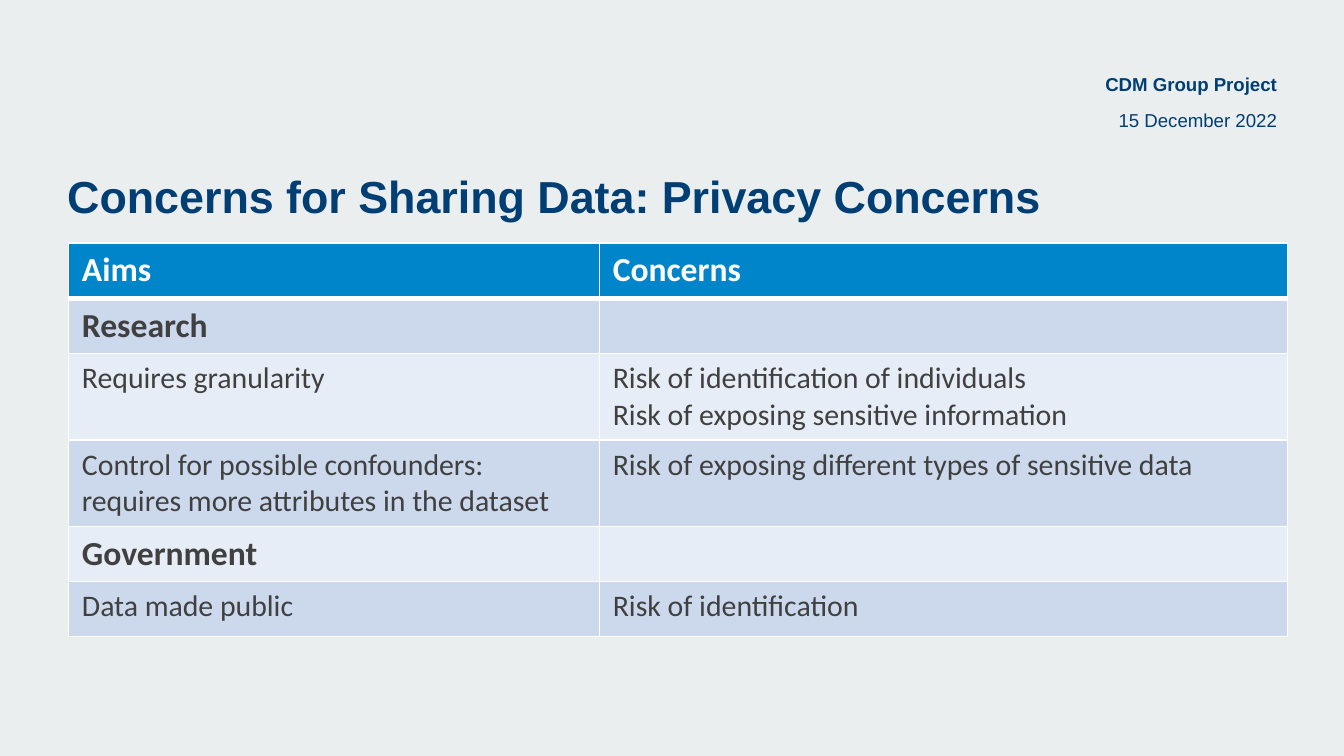
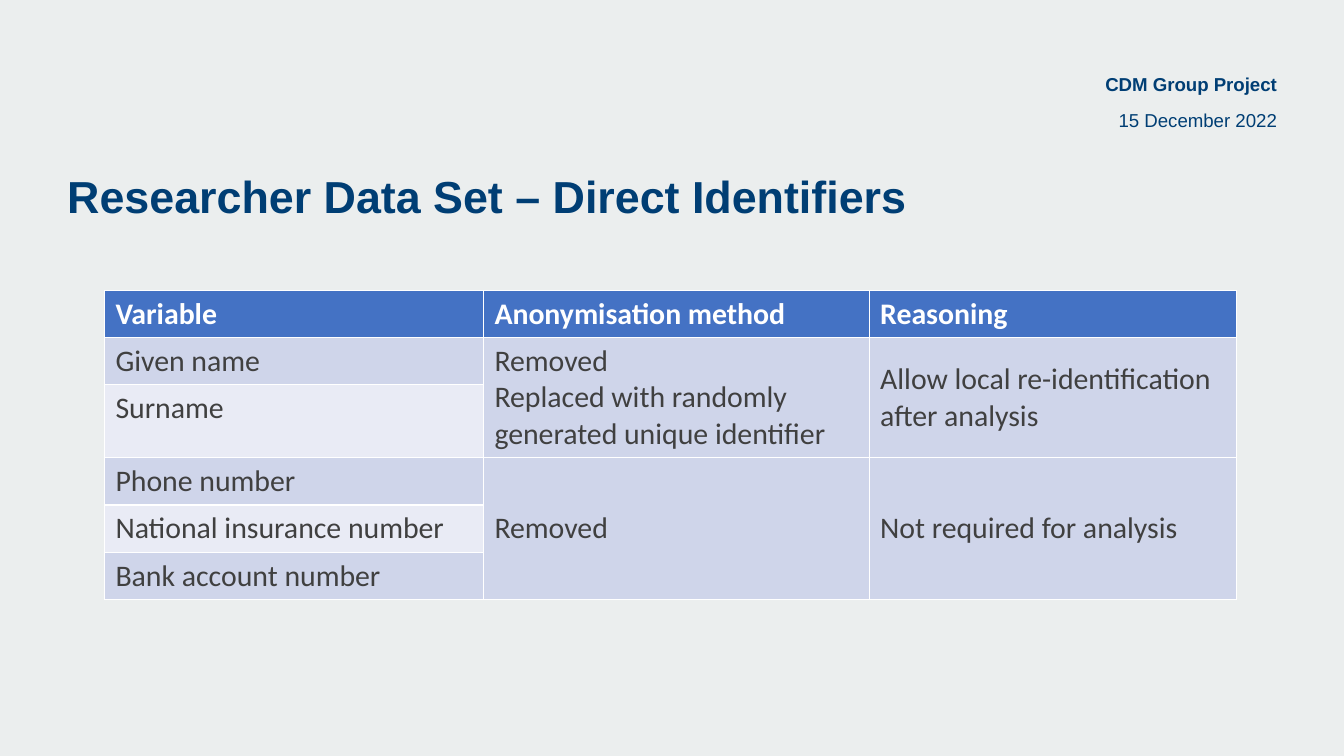
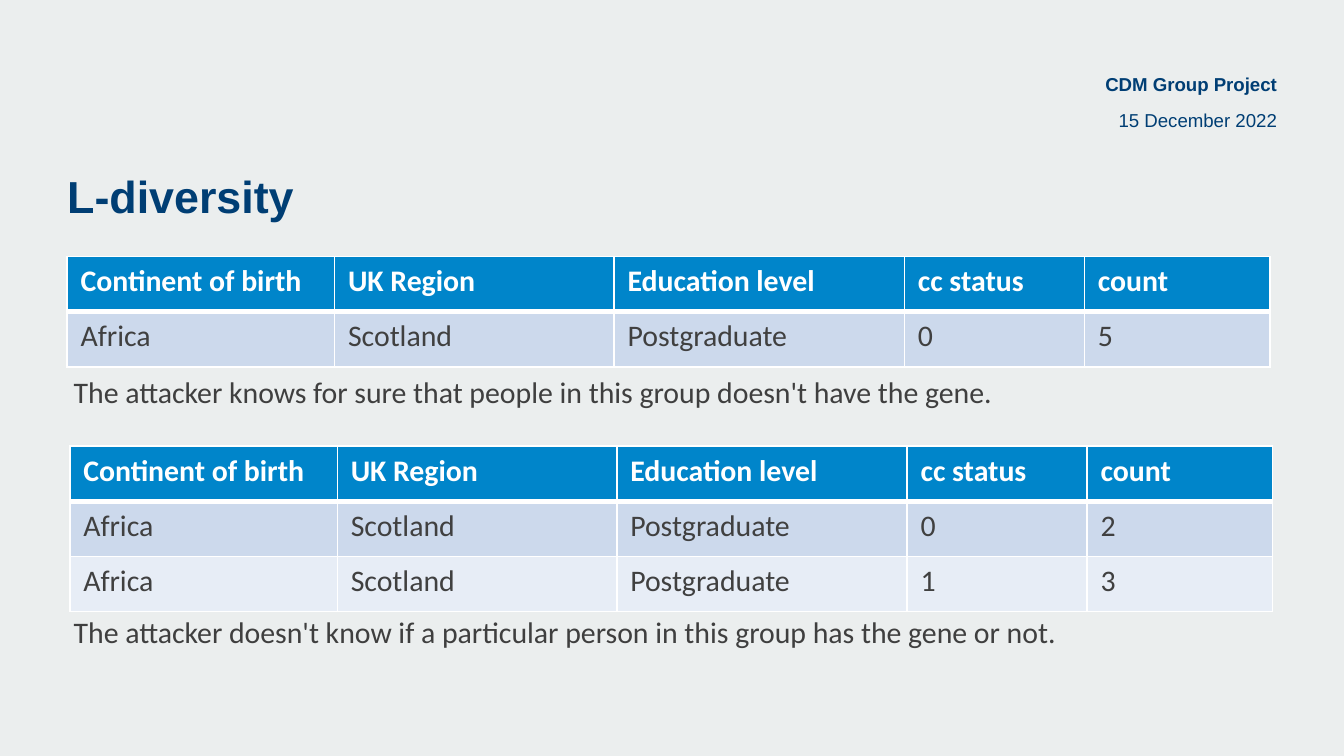
from dataclasses import dataclass

from lxml import etree
from pptx import Presentation
from pptx.dml.color import RGBColor
from pptx.enum.text import MSO_ANCHOR, MSO_AUTO_SIZE, PP_ALIGN
from pptx.oxml.ns import qn
from pptx.slide import Slide
from pptx.table import _Cell
from pptx.text.text import TextFrame
from pptx.util import Inches, Pt

TOP, MIDDLE = MSO_ANCHOR.TOP, MSO_ANCHOR.MIDDLE
LEFT, RIGHT = PP_ALIGN.LEFT, PP_ALIGN.RIGHT
NO_FIT, GROW = MSO_AUTO_SIZE.NONE, MSO_AUTO_SIZE.SHAPE_TO_FIT_TEXT

BACKGROUND = RGBColor(0xEB, 0xEE, 0xEE)
NAVY = RGBColor(0x00, 0x3E, 0x74)
WHITE = RGBColor(0xFF, 0xFF, 0xFF)
GREY = RGBColor(0x40, 0x40, 0x40)
NOTE_GREY = RGBColor(0x3F, 0x3F, 0x3F)

HEADING_FONT, TEXT_FONT = "Arial", "Calibri"
COMPARISON_LAYOUT = 4
SLIDE_WIDTH = 10
SLIDE_HEIGHT = SLIDE_WIDTH * 9 / 16
TITLE_BOX = (0.5, 1.22, 9, 0.42)
PROJECT_BOX = (7.17, 0.54, 2.33, 0.26)
DATE_BOX = (7.92, 0.81, 1.58, 0.21)


@dataclass(frozen=True)
class TableStyle:
    """Colours, borders and spacing shared by tables of one look."""
    header: RGBColor
    bands: tuple[RGBColor, RGBColor]
    row_height: float
    margins: tuple[float, float]
    line: float
    header_line: float


@dataclass(frozen=True)
class TableSpec:
    """Place and content of one table; merges are (row, column, rows)."""
    left: float
    top: float
    columns: tuple[float, ...]
    rows: tuple[tuple[str, ...], ...]
    style: TableStyle
    header_size: int = 16
    merges: tuple[tuple[int, int, int], ...] = ()
    sections: tuple[int, ...] = ()


CYAN_STYLE = TableStyle(
    RGBColor(0x00, 0x85, 0xCA),
    (RGBColor(0xCC, 0xD9, 0xEC), RGBColor(0xE7, 0xED, 0xF6)),
    0.41, (0.1, 0.05), 1, 3)
BLUE_STYLE = TableStyle(
    RGBColor(0x44, 0x72, 0xC4),
    (RGBColor(0xCF, 0xD5, 0xEA), RGBColor(0xE9, 0xEB, 0xF5)),
    0.31, (0.08, 0.04), 0.75, 0.75)

PRIVACY = TableSpec(
    0.51, 1.81, (3.95, 5.12),
    (("Aims", "Concerns"),
     ("Research", ""),
     ("Requires granularity",
      "Risk of identification of individuals\nRisk of exposing sensitive information"),
     ("Control for possible confounders: requires more attributes in the dataset",
      "Risk of exposing different types of sensitive data"),
     ("Government", ""),
     ("Data made public", "Risk of identification")),
    CYAN_STYLE, header_size=18, sections=(1, 4))

IDENTIFIERS = TableSpec(
    0.78, 2.16, (2.82, 2.87, 2.73),
    (("Variable", "Anonymisation\u00a0method", "Reasoning"),
     ("Given name",
      "Removed\nReplaced with randomly generated unique identifier",
      "Allow local re-identification after\u00a0analysis"),
     ("Surname", "", ""),
     ("Phone number\u00a0", "Removed", "Not required for analysis"),
     ("National insurance number", "", ""),
     ("Bank account number", "", "")),
    BLUE_STYLE, merges=((1, 1, 2), (1, 2, 2), (3, 1, 3), (3, 2, 3)))

GROUP_COLUMNS = (1.99, 2.08, 2.16, 1.34, 1.38)
GROUP_HEADER = ("Continent of birth", "UK Region", "Education level", "cc status", "count")
GROUP = ("Africa", "Scotland", "Postgraduate")
UNIFORM = TableSpec(0.5, 1.91, GROUP_COLUMNS,
                    (GROUP_HEADER, (*GROUP, "0", "5")), CYAN_STYLE)
DIVERSE = TableSpec(0.52, 3.32, GROUP_COLUMNS,
                    (GROUP_HEADER, (*GROUP, "0", "2"), (*GROUP, "1", "3")), CYAN_STYLE)


def format_text(frame: TextFrame, color: RGBColor, **values: object) -> None:
    """Apply the font values and the colour to every run of a frame."""
    for paragraph in frame.paragraphs:
        for run in paragraph.runs:
            for key, value in values.items():
                setattr(run.font, key, value)
            run.font.color.rgb = color


def fill_placeholder(slide: Slide, index: int, text: str, box: tuple[float, ...],
                     size: int, bold: bool, align: PP_ALIGN, frame_values: dict) -> None:
    """Move a template placeholder, write its text and format it."""
    holder = next(p for p in slide.placeholders if p.placeholder_format.idx == index)
    for key, value in zip(("left", "top", "width", "height"), box):
        setattr(holder, key, Inches(value))
    frame = holder.text_frame
    frame.text = text
    frame_values = {"margin_left": 0, "margin_top": 0, "margin_right": 0,
                    "margin_bottom": 0, "word_wrap": True, "auto_size": NO_FIT,
                    **frame_values}
    for key, value in frame_values.items():
        setattr(frame, key, value)
    frame.paragraphs[0].alignment = align
    format_text(frame, NAVY, name=HEADING_FONT, size=Pt(size), bold=bold)


def add_titled_slide(prs: Presentation, title: str) -> Slide:
    """Add a slide with its title, the project name and the date."""
    slide = prs.slides.add_slide(prs.slide_layouts[COMPARISON_LAYOUT])
    fill_placeholder(slide, 0, title, TITLE_BOX, 24, True, LEFT,
                     {"vertical_anchor": MIDDLE, "margin_top": Inches(0.05)})
    fill_placeholder(slide, 1, "CDM Group Project", PROJECT_BOX, 10, True, RIGHT,
                     {"vertical_anchor": TOP})
    fill_placeholder(slide, 3, "15 December 2022", DATE_BOX, 10, False, RIGHT,
                     {"vertical_anchor": TOP})
    for holder in list(slide.placeholders):
        if not holder.text_frame.text:
            holder.element.getparent().remove(holder.element)
    return slide


def set_borders(cell: _Cell, width: float, bottom: float) -> None:
    """Draw white lines on the four sides of a cell."""
    properties = cell._tc.get_or_add_tcPr()
    sides = (("a:lnL", width), ("a:lnR", width), ("a:lnT", width), ("a:lnB", bottom))
    for position, (tag, points) in enumerate(sides):
        line = etree.Element(qn(tag), w=str(Pt(points)))
        fill = etree.SubElement(line, qn("a:solidFill"))
        etree.SubElement(fill, qn("a:srgbClr"), val=str(WHITE))
        properties.insert(position, line)


def format_cell(cell: _Cell, spec: TableSpec, row: int, band: RGBColor) -> None:
    """Give a cell its fill, borders, margins and font."""
    style = spec.style
    is_header = row == 0
    strong = is_header or row in spec.sections
    across, down = (Inches(margin) for margin in style.margins)
    for key, value in {"margin_left": across, "margin_right": across,
                       "margin_top": down, "margin_bottom": down}.items():
        setattr(cell, key, value)
    cell.fill.solid()
    cell.fill.fore_color.rgb = style.header if is_header else band
    set_borders(cell, style.line, style.header_line if is_header else style.line)
    format_text(cell.text_frame, WHITE if is_header else GREY, name=TEXT_FONT,
                size=Pt(spec.header_size if strong else 16), bold=strong)


def add_data_table(slide: Slide, spec: TableSpec) -> None:
    """Add a banded table with its merged cells."""
    height = spec.style.row_height
    table = slide.shapes.add_table(
        len(spec.rows), len(spec.columns), Inches(spec.left), Inches(spec.top),
        Inches(sum(spec.columns)), Inches(height * len(spec.rows))).table
    for column, width in zip(table.columns, spec.columns):
        column.width = Inches(width)
    merged = {(row + step, column) for row, column, count in spec.merges
              for step in range(count)}
    for row, texts in enumerate(spec.rows):
        table.rows[row].height = Inches(height)
        for column, text in enumerate(texts):
            cell = table.cell(row, column)
            cell.text = text
            band = 0 if (row, column) in merged else (row - 1) % 2
            format_cell(cell, spec, row, spec.style.bands[band])
    for row, column, count in spec.merges:
        origin = table.cell(row, column)
        origin.merge(table.cell(row + count - 1, column))
        origin.vertical_anchor = MIDDLE


def add_note(slide: Slide, top: float, text: str) -> None:
    """Add a one-line remark under a table."""
    frame = slide.shapes.add_textbox(
        Inches(0.45), Inches(top), Inches(8.96), Inches(0.37)).text_frame
    frame.text = text
    frame.word_wrap = True
    frame.auto_size = GROW
    format_text(frame, NOTE_GREY, name=TEXT_FONT, size=Pt(16))


def main() -> None:
    """Build the three slides and save them."""
    prs = Presentation()
    prs.slide_width, prs.slide_height = Inches(SLIDE_WIDTH), Inches(SLIDE_HEIGHT)
    background = prs.slide_master.background.fill
    background.solid()
    background.fore_color.rgb = BACKGROUND

    privacy = add_titled_slide(prs, "Concerns for Sharing Data: Privacy Concerns")
    add_data_table(privacy, PRIVACY)

    identifiers = add_titled_slide(prs, "Researcher Data Set \u2013 Direct Identifiers")
    add_data_table(identifiers, IDENTIFIERS)

    diversity = add_titled_slide(prs, "L-diversity")
    add_data_table(diversity, UNIFORM)
    add_data_table(diversity, DIVERSE)
    add_note(diversity, 2.73, "The attacker knows for sure that people in this group "
                              "doesn't have the gene.\u00a0")
    add_note(diversity, 4.52, "The attacker doesn't know if a particular person in this "
                              "group has the gene or not.\u00a0")
    prs.save("out.pptx")


main()
